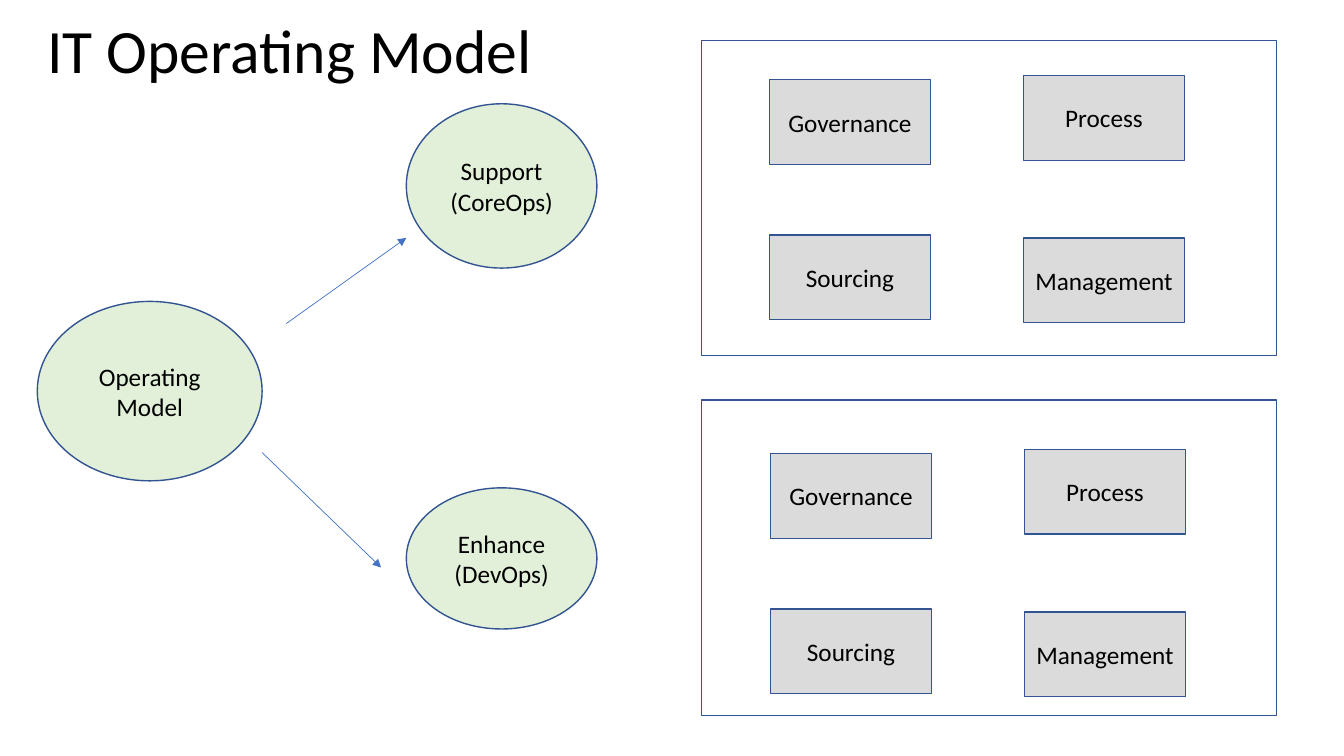
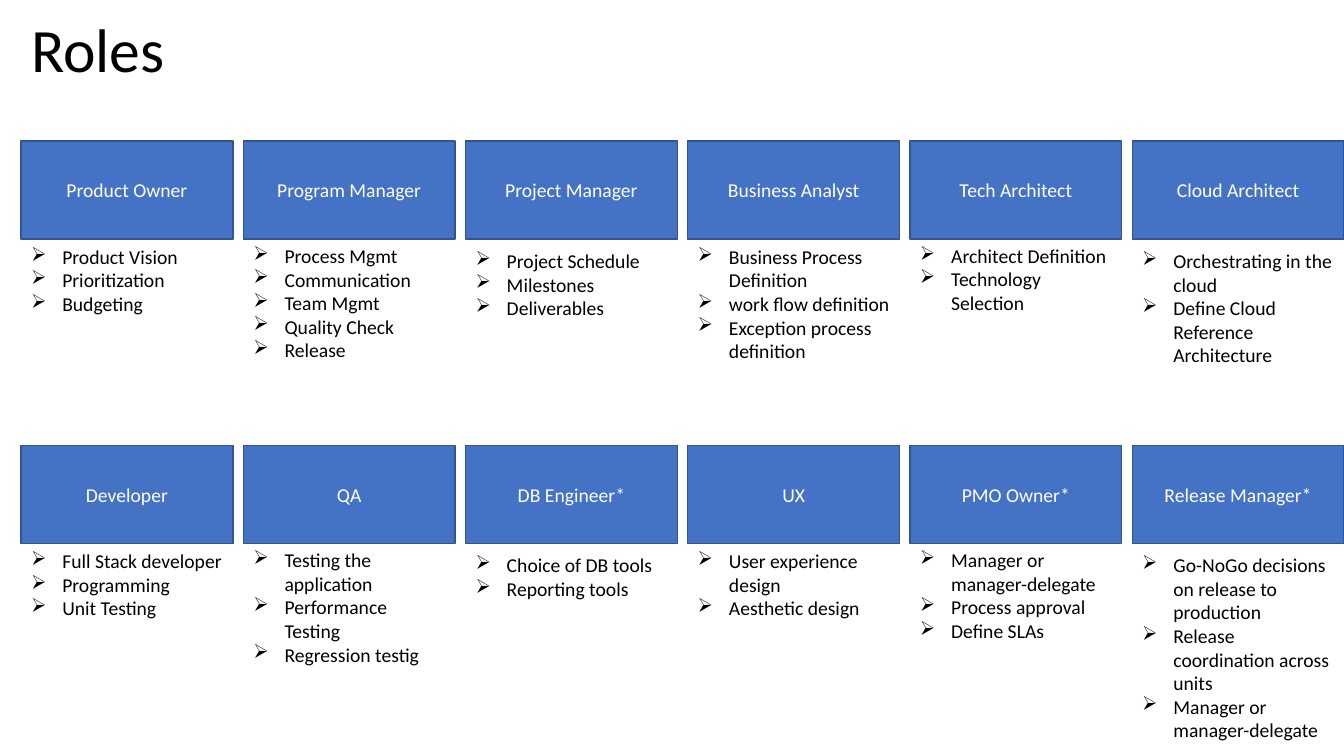
"""Build a two-slide deck on an IT operating model and its roles."""
from lxml.etree import SubElement
from pptx import Presentation
from pptx.dml.color import RGBColor
from pptx.enum.shapes import MSO_CONNECTOR, MSO_SHAPE
from pptx.enum.text import MSO_ANCHOR, MSO_AUTO_SIZE, PP_ALIGN
from pptx.oxml.ns import qn
from pptx.util import Inches, Pt

WIDTH, HEIGHT = 13.33, 7.5
FONT = "Calibri"
BLACK, WHITE, BLUE, NAVY = "000000", "FFFFFF", "4472C4", "325491"
GREEN, GRAY = "E2F0D9", "DBDBDB"

OVALS = [
    (["Operating Model"], (0.37, 2.99, 2.23, 1.78)),
    (["Support", "(CoreOps)"], (4.03, 1.03, 1.89, 1.63)),
    (["Enhance", "(DevOps)"], (4.03, 4.84, 1.89, 1.4)),
]
ARROWS = [((2.84, 3.21), (4.03, 2.36)), ((2.6, 4.49), (3.78, 5.63))]
PANEL_LEFT, PANEL_TOPS, PANEL_SIZE = 6.96, (0.4, 3.97), (5.7, 3.13)
BLOCK_ORIGINS = [(7.63, 0.75), (7.64, 4.46)]
BLOCK_SIZE = (1.6, 0.84)
BLOCKS = [
    ("Governance", (0, 0.04)),
    ("Process", (2.52, 0)),
    ("Sourcing", (0, 1.58)),
    ("Management", (2.52, 1.61)),
]

CARD_LEFT, CARD_TOPS, CARD_SIZE = 0.21, (1.4, 4.42), (2.1, 0.97)
LIST_OFFSETS = (0.98, 0.97, 1.02, 0.98, 0.97, 1.02)
ROLES = [
    [
        ("Product Owner", 1.38, ["Product Vision", "Prioritization", "Budgeting"]),
        ("Program Manager", 1.69, ["Process Mgmt", "Communication", "Team Mgmt",
                                   "Quality Check", "Release"]),
        ("Project Manager", 1.04, ["Project Schedule", "Milestones", "Deliverables"]),
        ("Business Analyst", 1.75, ["Business Process Definition", "work flow definition",
                                    "Exception process definition"]),
        ("Tech Architect", 1.04, ["Architect Definition", "Technology Selection"]),
        ("Cloud Architect", 1.28, ["Orchestrating in the cloud",
                                   "Define Cloud Reference Architecture"]),
    ],
    [
        ("Developer", 1.04, ["Full Stack developer", "Programming", "Unit Testing"]),
        ("QA", 1.28, ["Testing the application", "Performance Testing",
                      "Regression testig"]),
        ("DB Engineer*", 0.81, ["Choice of DB tools", "Reporting tools"]),
        ("UX", 1.04, ["User experience design", "Aesthetic design"]),
        ("PMO Owner*", 1.04, ["Manager or manager-delegate", "Process approval",
                              "Define SLAs"]),
        ("Release Manager*", 1.99, ["Go-NoGo decisions on release to production",
                                    "Release coordination across units",
                                    "Manager or manager-delegate"]),
    ],
]


def color(value):
    return RGBColor.from_string(value)


def inches(values):
    return [Inches(value) for value in values]


def write(frame, lines, size=18, ink=BLACK, align=PP_ALIGN.LEFT,
          anchor=MSO_ANCHOR.MIDDLE, spacing=None, bullet=None):
    frame.word_wrap = True
    frame.vertical_anchor = anchor
    for index, line in enumerate(lines):
        para = frame.add_paragraph() if index else frame.paragraphs[0]
        para.alignment = align
        if spacing:
            para.line_spacing = spacing
        span = para.add_run()
        span.text = line
        span.font.name, span.font.size = FONT, Pt(size)
        span.font.color.rgb = color(ink)
        if bullet:
            properties = para._p.get_or_add_pPr()
            properties.set("marL", str(Inches(0.31)))
            properties.set("indent", str(Inches(-0.31)))
            SubElement(properties, qn("a:buChar"), char=bullet)


def add_box(shapes, place, lines=(), kind=MSO_SHAPE.RECTANGLE, fill=None, **style):
    box = shapes.add_shape(kind, *inches(place))
    box.shadow.inherit = False
    if fill:
        box.fill.solid()
        box.fill.fore_color.rgb = color(fill)
    else:
        box.fill.background()
    box.line.color.rgb, box.line.width = color(NAVY), Pt(1)
    write(box.text_frame, lines, align=PP_ALIGN.CENTER, **style)


def add_arrow(shapes, start, end):
    arrow = shapes.add_connector(MSO_CONNECTOR.STRAIGHT, *inches(start + end))
    arrow.line.color.rgb, arrow.line.width = color(BLUE), Pt(0.5)
    SubElement(arrow.line._get_or_add_ln(), qn("a:tailEnd"), type="triangle")
    SubElement(arrow._element.spPr, qn("a:effectLst"))


def add_slide(deck, title, left, top):
    slide = deck.slides.add_slide(deck.slide_layouts[6])
    box = slide.shapes.add_textbox(*inches((left, top, 11.5, 0.78)))
    write(box.text_frame, [title], size=44, spacing=0.9)
    return slide.shapes


def add_card(shapes, left, top, offset, role, height, duties):
    group = shapes.add_group_shape().shapes
    add_box(group, (left, top, *CARD_SIZE), [role], fill=BLUE, size=14, ink=WHITE)
    box = group.add_textbox(*inches((left, top + offset, CARD_SIZE[0], height)))
    write(box.text_frame, duties, size=14, anchor=MSO_ANCHOR.TOP, bullet="➢")
    box.text_frame.auto_size = MSO_AUTO_SIZE.SHAPE_TO_FIT_TEXT


def build_model(deck):
    shapes = add_slide(deck, "IT Operating Model", 0.37, 0.14)
    for lines, place in OVALS:
        add_box(shapes, place, lines, kind=MSO_SHAPE.OVAL, fill=GREEN)
    for start, end in ARROWS:
        add_arrow(shapes, start, end)
    for panel_top, (left, top) in zip(PANEL_TOPS, BLOCK_ORIGINS):
        add_box(shapes, (PANEL_LEFT, panel_top, *PANEL_SIZE))
        for label, (across, down) in BLOCKS:
            add_box(shapes, (left + across, top + down, *BLOCK_SIZE), [label], fill=GRAY)


def build_roles(deck):
    shapes = add_slide(deck, "Roles", 0.21, 0.13)
    pitch = (WIDTH - CARD_LEFT - CARD_SIZE[0]) / (len(LIST_OFFSETS) - 1)
    for top, row in zip(CARD_TOPS, ROLES):
        for column, (offset, card) in enumerate(zip(LIST_OFFSETS, row)):
            add_card(shapes, CARD_LEFT + column * pitch, top, offset, *card)


def main():
    deck = Presentation()
    deck.slide_width, deck.slide_height = inches((WIDTH, HEIGHT))
    build_model(deck)
    build_roles(deck)
    deck.save("out.pptx")


if __name__ == "__main__":
    main()
